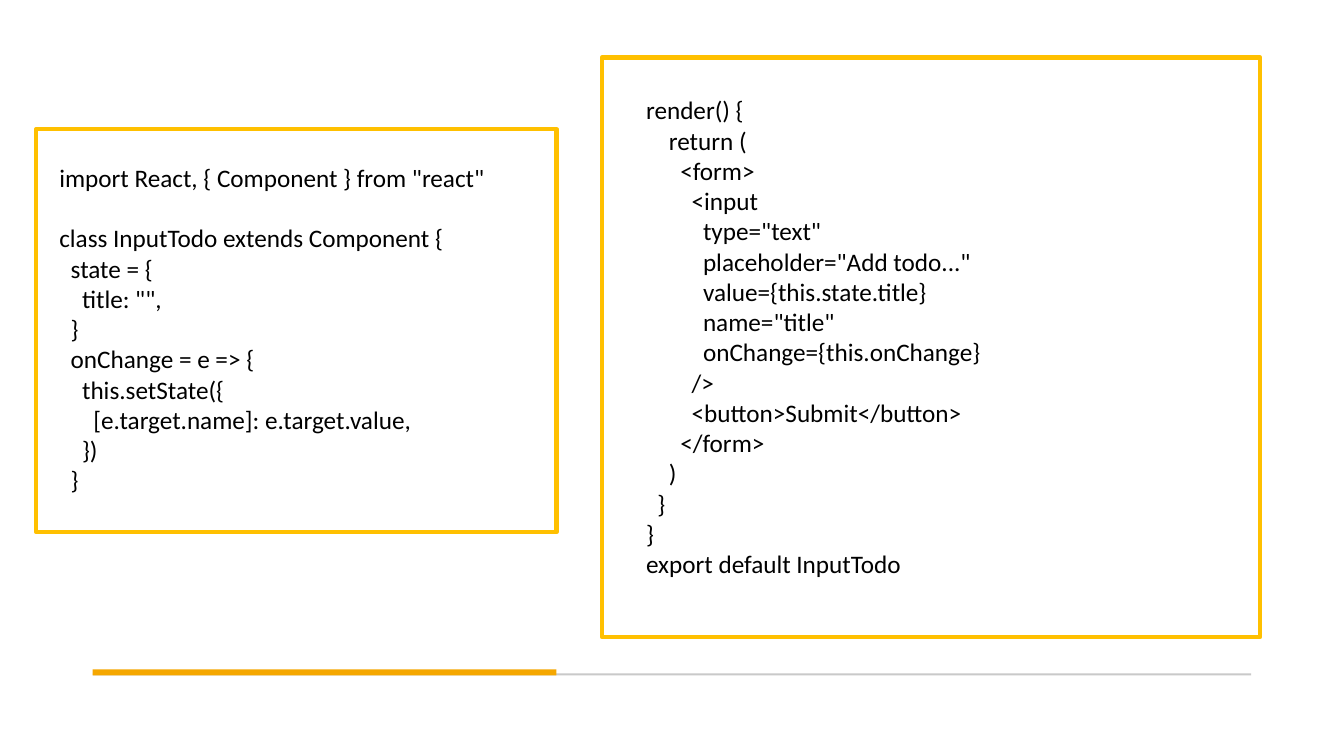
from pptx import Presentation
from pptx.dml.color import RGBColor
from pptx.enum.shapes import MSO_SHAPE
from pptx.enum.text import MSO_AUTO_SIZE, PP_ALIGN
from pptx.util import Inches, Pt

BLACK = RGBColor(0x00, 0x00, 0x00)
GOLD = RGBColor(0xFF, 0xC0, 0x00)
ORANGE = RGBColor(0xF5, 0xA7, 0x00)
GREY = RGBColor(0xC9, 0xC9, 0xC9)

CODE_FONT = "Calibri"
CODE_SIZE = Pt(18)
BLANK_LINE = Pt(21.6)
INDENT_STEP = 0.113  # inches for each nesting level

# Each line is (nesting level, code); an empty line becomes space before the next.
STATE_CODE = [
    (0, 'import React, { Component } from "react"'),
    (0, ""),
    (0, "class InputTodo extends Component {"),
    (1, "state = {"),
    (2, 'title: "",'),
    (1, "}"),
    (1, "onChange = e => {"),
    (2, "this.setState({"),
    (3, "[e.target.name]: e.target.value,"),
    (2, "})"),
    (1, "}"),
]
RENDER_CODE = [
    (0, "render() {"),
    (2, "return ("),
    (3, "<form>"),
    (4, "<input"),
    (5, 'type="text"'),
    (5, 'placeholder="Add todo..."'),
    (5, "value={this.state.title}"),
    (5, 'name="title"'),
    (5, "onChange={this.onChange}"),
    (4, "/>"),
    (4, "<button>Submit</button>"),
    (3, "</form>"),
    (2, ")"),
    (1, "}"),
    (0, "}"),
    (0, "export default InputTodo"),
]


def add_rectangle(page, left, top, width, height):
    shape = page.shapes.add_shape(
        MSO_SHAPE.RECTANGLE, Inches(left), Inches(top), Inches(width), Inches(height))
    shape.shadow.inherit = False
    return shape


def add_bar(page, left, top, width, height, color):
    bar = add_rectangle(page, left, top, width, height)
    bar.fill.solid()
    bar.fill.fore_color.rgb = color
    bar.line.fill.background()


def add_frame(page, left, top, width, height):
    frame = add_rectangle(page, left, top, width, height)
    frame.fill.background()
    frame.line.color.rgb = GOLD
    frame.line.width = Pt(3)


def add_code(page, left, top, width, height, lines):
    box = page.shapes.add_textbox(
        Inches(left), Inches(top), Inches(width), Inches(height))
    text = box.text_frame
    text.word_wrap = True
    text.auto_size = MSO_AUTO_SIZE.SHAPE_TO_FIT_TEXT
    para = text.paragraphs[0]
    after_blank = False
    for number, (level, code) in enumerate(lines):
        if not code:
            after_blank = True
            continue
        if number:
            para = text.add_paragraph()
        para.alignment = PP_ALIGN.LEFT
        properties = para._p.get_or_add_pPr()
        properties.set("marL", str(Inches(level * INDENT_STEP)))
        properties.set("indent", "0")
        if after_blank:
            para.space_before = BLANK_LINE
            after_blank = False
        span = para.add_run()
        span.text = code
        span.font.name = CODE_FONT
        span.font.size = CODE_SIZE
        span.font.color.rgb = BLACK


def main():
    deck = Presentation()
    deck.slide_width = Inches(13.33)
    deck.slide_height = Inches(7.5)
    page = deck.slides.add_slide(deck.slide_layouts[6])

    add_bar(page, 0.92, 6.68, 11.49, 0.02, GREY)
    add_bar(page, 0.92, 6.64, 4.6, 0.06, ORANGE)
    add_code(page, 0.49, 1.56, 6.66, 3.43, STATE_CODE)
    add_code(page, 6.31, 0.89, 6.66, 4.95, RENDER_CODE)
    add_frame(page, 5.97, 0.57, 6.53, 5.75)
    add_frame(page, 0.36, 1.28, 5.16, 4)

    deck.save("out.pptx")


if __name__ == "__main__":
    main()
